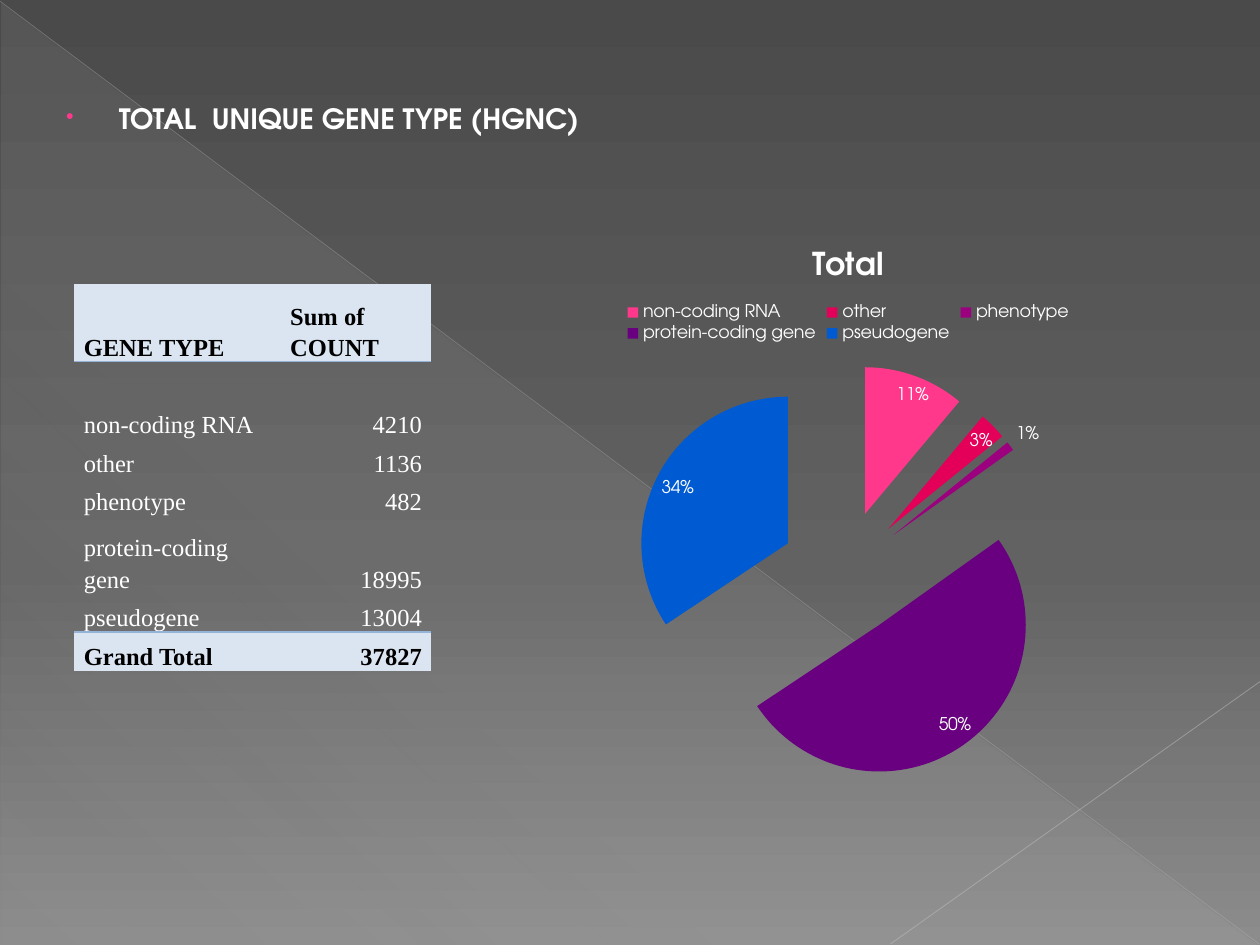
from dataclasses import dataclass

import pptx
import pptx.chart.data
import pptx.dml.color
import pptx.enum.chart
import pptx.enum.shapes
import pptx.enum.text
import pptx.oxml
import pptx.oxml.ns
import pptx.util
from lxml import etree

Pt = pptx.util.Pt
qn = pptx.oxml.ns.qn

COLORS = {
    "text": "FFFFFF", "dark": "000000", "bullet": "FF388C",
    "band": "DBE5F1", "rule": "95B3D7", "sheen": "D2D2D2",
    "long line": "BFBFBF", "short line": "C6C6C6",
    "sky top": "4A4A4A", "sky middle": "626262", "sky bottom": "8C8C8C",
    "pink": "FF388C", "red": "E40059", "magenta": "9C007F",
    "purple": "68007F", "blue": "005BD3",
}
SANS, SERIF = "TeX Gyre Adventor", "Times New Roman"
NO_STYLE_NO_GRID = "{2D5ABB26-0587-4C30-8999-92F81FD0307C}"


@dataclass
class Stop:
    position: int
    color: str
    opacity: int = 100


@dataclass
class Line:
    start: tuple[float, float]
    end: tuple[float, float]
    color: str
    width: float
    opacity: int


@dataclass
class Gene:
    name: str
    count: int
    color: str


LINES = [
    Line((0, 0.7), (719.3, 539.3), "long line", 0.39, 35),
    Line((720, 389.5), (509, 539.3), "short line", 0.47, 45),
]
GENES = [
    Gene("non-coding RNA", 4210, "pink"),
    Gene("other", 1136, "red"),
    Gene("phenotype", 482, "magenta"),
    Gene("protein-coding gene", 18995, "purple"),
    Gene("pseudogene", 13004, "blue"),
]
TOTAL = sum(gene.count for gene in GENES)


def rgb(name: str) -> pptx.dml.color.RGBColor:
    return pptx.dml.color.RGBColor.from_string(COLORS[name])


def add_color(parent, name: str, opacity: int = 100) -> None:
    color = etree.SubElement(parent, qn("a:srgbClr"), val=COLORS[name])
    if opacity < 100:
        etree.SubElement(color, qn("a:alpha"), val=str(opacity * 1000))


def set_gradient(fill, element, stops: list[Stop], clockwise: int) -> None:
    fill.gradient()
    fill.gradient_angle = 360 - clockwise
    stop_list = element.find(".//" + qn("a:gsLst"))
    for child in list(stop_list):
        stop_list.remove(child)
    for stop in stops:
        entry = etree.SubElement(stop_list, qn("a:gs"), pos=str(stop.position * 1000))
        add_color(entry, stop.color, stop.opacity)


def style_font(font, name: str, size: float, color: str, bold: bool = False) -> None:
    font.name, font.size, font.bold = name, Pt(size), bold
    font.color.rgb = rgb(color)


def add_line(slide, line: Line) -> None:
    connector = slide.shapes.add_connector(
        pptx.enum.shapes.MSO_CONNECTOR.STRAIGHT,
        *(Pt(value) for value in line.start + line.end))
    connector.line.width = Pt(line.width)
    connector.line.color.rgb = rgb(line.color)
    color = connector._element.spPr.find(".//" + qn("a:srgbClr"))
    etree.SubElement(color, qn("a:alpha"), val=str(line.opacity * 1000))
    etree.SubElement(connector._element.spPr, qn("a:effectLst"))


def add_backdrop(slide) -> None:
    set_gradient(slide.background.fill, slide._element, [
        Stop(0, "sky top"), Stop(60, "sky middle"), Stop(100, "sky bottom")], 90)
    triangle = slide.shapes.add_shape(
        pptx.enum.shapes.MSO_SHAPE.RIGHT_TRIANGLE, Pt(0.7), Pt(1.4), Pt(718.6), Pt(538.6))
    triangle.shadow.inherit = False
    triangle.line.fill.background()
    set_gradient(triangle.fill, triangle._element, [
        Stop(0, "sheen", 10), Stop(70, "sheen", 8), Stop(100, "sheen", 1)], 133)
    for line in LINES:
        add_line(slide, line)


def add_heading(slide, text: str) -> None:
    box = slide.shapes.add_textbox(Pt(25.6), Pt(54.7), Pt(648), Pt(360))
    box.text_frame.word_wrap = True
    paragraph = box.text_frame.paragraphs[0]
    properties = paragraph._p.get_or_add_pPr()
    properties.set("marL", str(Pt(35.3)))
    properties.set("indent", str(-Pt(30.2)))
    add_color(etree.SubElement(properties, qn("a:buClr")), "bullet")
    etree.SubElement(properties, qn("a:buSzPct"), val="80000")
    etree.SubElement(properties, qn("a:buChar"), char="•")
    run = paragraph.add_run()
    run.text = text
    style_font(run.font, SANS, 16, "text", bold=True)


def set_borders(cell, ruled_side: str) -> None:
    properties = cell._tc.get_or_add_tcPr()
    for position, side in enumerate("LRTB"):
        border = etree.Element(qn(f"a:ln{side}"), w=str(Pt(1)))
        if side == ruled_side:
            add_color(etree.SubElement(border, qn("a:solidFill")), "rule")
        else:
            etree.SubElement(border, qn("a:noFill"))
        properties.insert(position, border)


def fill_cell(cell, text: str, banded: bool, right: bool) -> None:
    cell.margin_left = cell.margin_right = Pt(5.4)
    cell.margin_top = cell.margin_bottom = 0
    cell.vertical_anchor = pptx.enum.text.MSO_ANCHOR.BOTTOM
    if banded:
        cell.fill.solid()
        cell.fill.fore_color.rgb = rgb("band")
    else:
        cell.fill.background()
    paragraph = cell.text_frame.paragraphs[0]
    paragraph.line_spacing = 1.15
    if right:
        paragraph.alignment = pptx.enum.text.PP_ALIGN.RIGHT
    run = paragraph.add_run()
    run.text = text
    style_font(run.font, SERIF, 14, "dark" if banded else "text", banded)


def add_gene_table(slide) -> None:
    rows = [("GENE TYPE", "Sum of COUNT"),
            *((gene.name, str(gene.count)) for gene in GENES),
            ("Grand Total", str(TOTAL))]
    last = len(rows) - 1
    single, tall_rows = 22.1, (0, 1, 4)
    heights = [single * (2 if index in tall_rows else 1) for index in range(len(rows))]
    widths = (118, 86)
    frame = slide.shapes.add_table(
        len(rows), 2, Pt(42.5), Pt(162.3), Pt(sum(widths)), Pt(sum(heights)))
    table = frame.table
    table.first_row = table.horz_banding = False
    table._tbl.tblPr.find(qn("a:tableStyleId")).text = NO_STYLE_NO_GRID
    for column, width in zip(table.columns, widths):
        column.width = Pt(width)
    # Rules run below the header and above the total
    ruled_sides = {0: "B", 1: "T", last - 1: "B", last: "T"}
    for row_index, texts in enumerate(rows):
        table.rows[row_index].height = Pt(heights[row_index])
        for column_index, text in enumerate(texts):
            cell = table.cell(row_index, column_index)
            fill_cell(cell, text, row_index in (0, last), column_index == 1 and row_index > 0)
            set_borders(cell, ruled_sides.get(row_index, ""))


def add_gene_chart(slide) -> None:
    data = pptx.chart.data.CategoryChartData()
    data.categories = [gene.name for gene in GENES]
    data.add_series("Total", [round(100 * gene.count / TOTAL) for gene in GENES])
    chart = slide.shapes.add_chart(
        pptx.enum.chart.XL_CHART_TYPE.PIE,
        Pt(249.3), Pt(128.2), Pt(470.7), Pt(329), data).chart
    style_font(chart.font, SANS, 10, "text")
    # Title and legend
    chart.has_title = True
    run = chart.chart_title.text_frame.paragraphs[0].add_run()
    run.text = "Total"
    style_font(run.font, SANS, 18, "text", bold=True)
    chart.has_legend = True
    chart.legend.position = pptx.enum.chart.XL_LEGEND_POSITION.TOP
    chart.legend.include_in_layout = False
    # Exploded slices
    plot = chart.plots[0]
    plot.vary_by_categories = True
    series = plot.series[0]
    explosion = etree.Element(qn("c:explosion"), val="43")
    series._element.find(qn("c:tx")).addnext(explosion)
    for index, gene in enumerate(GENES):
        fill = series.points[index].format.fill
        fill.solid()
        fill.fore_color.rgb = rgb(gene.color)
    # Rounded shares add up to 99, so the labels show the values themselves
    plot.has_data_labels = True
    labels = plot.data_labels
    labels.show_value, labels.show_percentage = True, False
    labels.number_format, labels.number_format_is_linked = '0"%"', False
    labels.position = pptx.enum.chart.XL_LABEL_POSITION.BEST_FIT
    style_font(labels.font, SANS, 10, "text")


def main() -> None:
    presentation = pptx.Presentation()
    presentation.slide_width, presentation.slide_height = Pt(720), Pt(540)
    slide = presentation.slides.add_slide(presentation.slide_layouts[6])
    add_backdrop(slide)
    add_heading(slide, "TOTAL  UNIQUE GENE TYPE (HGNC)")
    add_gene_chart(slide)
    add_gene_table(slide)
    presentation.save("out.pptx")


if __name__ == "__main__":
    main()
